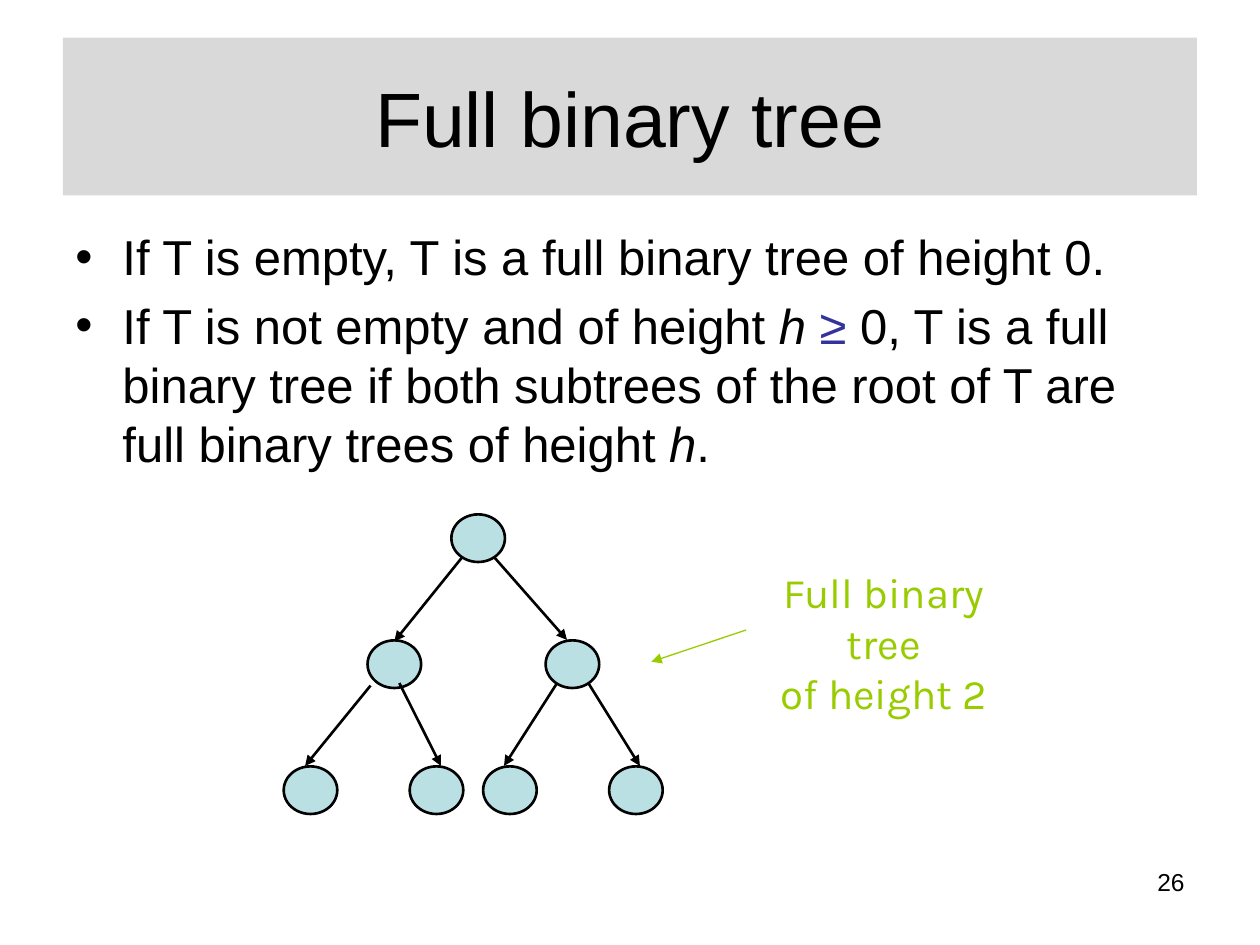
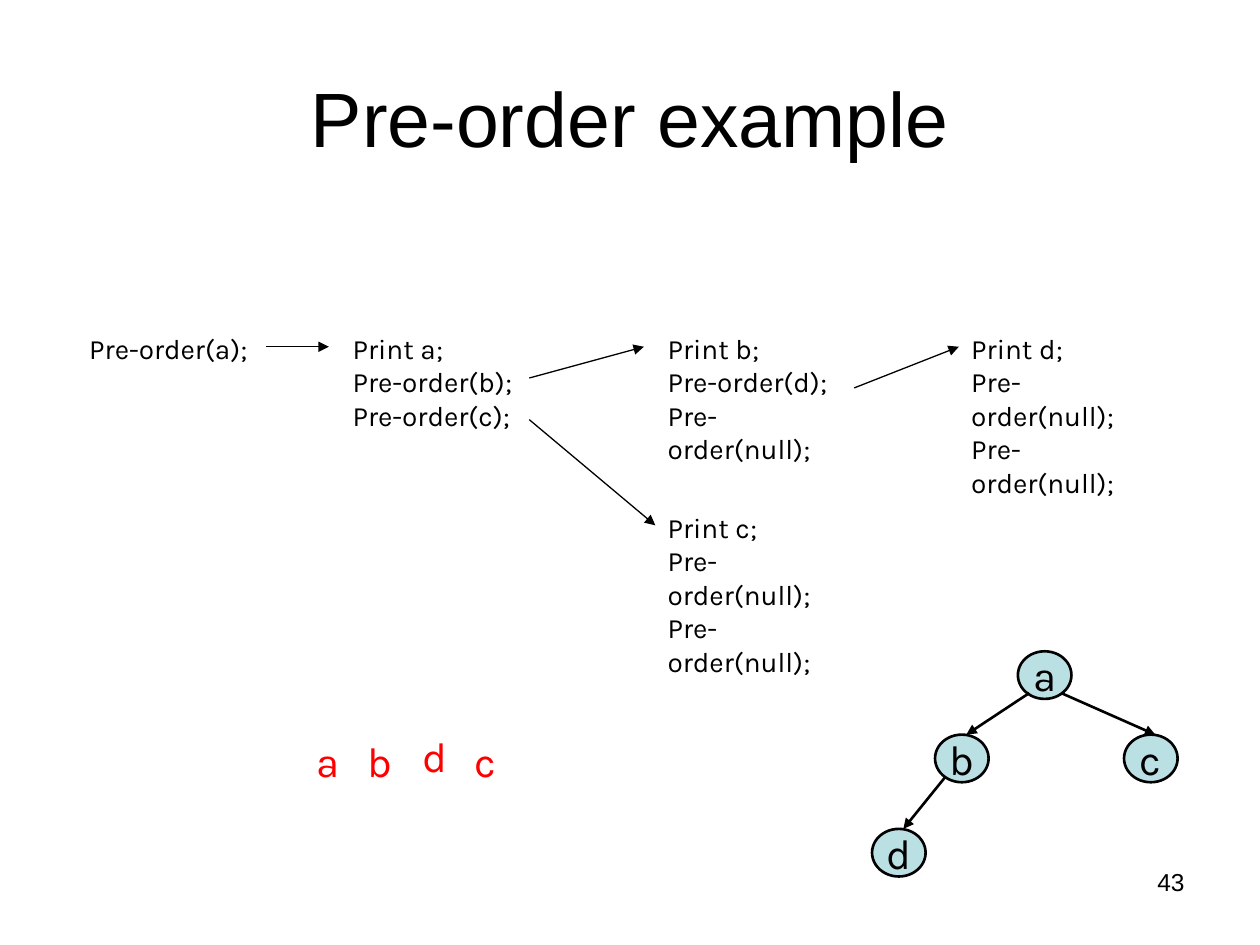
from lxml import etree
from pptx import Presentation
from pptx import util as u
from pptx.dml.color import RGBColor
from pptx.enum import shapes, text
from pptx.oxml.ns import qn

COLORS = {
    "ink": "000000",
    "band": "D9D9D9",
    "node": "BBE0E3",
    "symbol": "333399",
    "callout": "99CC00",
    "output": "FF0000",
}
HEADING_FONT = "Arial"
DIAGRAM_FONT = "Karla"
NODE_WIDTH, NODE_HEIGHT = 1.08, 0.96


def rgb(color):
    return RGBColor.from_string(COLORS[color])


def style_font(font, size, name, color="ink"):
    font.size = u.Pt(size)
    font.name = name
    font.color.rgb = rgb(color)


def add_text(slide, left, top, width, height, lines, size, font=DIAGRAM_FONT,
             color="ink", align=text.PP_ALIGN.LEFT, anchor=text.MSO_ANCHOR.TOP):
    box = slide.shapes.add_textbox(u.Cm(left), u.Cm(top), u.Cm(width), u.Cm(height))
    frame = box.text_frame
    frame.word_wrap = True
    frame.vertical_anchor = anchor
    frame.text = "\n".join(lines)
    for paragraph in frame.paragraphs:
        paragraph.alignment = align
        for run in paragraph.runs:
            style_font(run.font, size, font, color)
    return box


def add_arrow(slide, x1, y1, x2, y2, color="ink", weight=0.75):
    arrow = slide.shapes.add_connector(
        shapes.MSO_CONNECTOR.STRAIGHT, u.Cm(x1), u.Cm(y1), u.Cm(x2), u.Cm(y2))
    arrow.line.color.rgb = rgb(color)
    arrow.line.width = u.Pt(weight)
    etree.SubElement(arrow.line._get_or_add_ln(), qn("a:tailEnd"), type="triangle")
    etree.SubElement(arrow._element.spPr, qn("a:effectLst"))


def add_node(slide, left, top, label=""):
    node = slide.shapes.add_shape(
        shapes.MSO_SHAPE.OVAL, u.Cm(left), u.Cm(top), u.Cm(NODE_WIDTH), u.Cm(NODE_HEIGHT))
    node.shadow.inherit = False
    node.fill.solid()
    node.fill.fore_color.rgb = rgb("node")
    node.line.color.rgb = rgb("ink")
    node.line.width = u.Pt(1.5)
    if label:
        frame = node.text_frame
        frame.word_wrap = False
        frame.vertical_anchor = text.MSO_ANCHOR.MIDDLE
        frame.text = label
        paragraph = frame.paragraphs[0]
        paragraph.alignment = text.PP_ALIGN.CENTER
        style_font(paragraph.runs[0].font, 24, DIAGRAM_FONT)


def add_tree(slide, nodes, edges):
    """Draw nodes as (left, top[, label]) and edges as (x1, y1, x2, y2)."""
    for node in nodes:
        add_node(slide, *node)
    for edge in edges:
        add_arrow(slide, *edge, weight=1.5)


def add_bullets(slide, bullets):
    """Each bullet is a list of (words, color, italic) runs."""
    box = slide.shapes.add_textbox(u.Cm(1.27), u.Cm(4.45), u.Cm(22.86), u.Cm(7.34))
    frame = box.text_frame
    frame.word_wrap = True
    for index, runs in enumerate(bullets):
        paragraph = frame.add_paragraph() if index else frame.paragraphs[0]
        properties = paragraph._p.get_or_add_pPr()
        properties.set("marL", str(u.Cm(0.95)))
        properties.set("indent", str(-u.Cm(0.95)))
        etree.SubElement(properties, qn("a:buFont"), typeface=HEADING_FONT)
        etree.SubElement(properties, qn("a:buChar"), char="•")
        if index:
            paragraph.space_before = u.Pt(5.6)
        for words, color, italic in runs:
            run = paragraph.add_run()
            run.text = words
            style_font(run.font, 28, HEADING_FONT, color)
            run.font.italic = italic


def start_slide(deck, title, number, banded=False):
    slide = deck.slides.add_slide(deck.slide_layouts[6])
    add_text(slide, 18.2, 17.35, 5.93, 1.32, [str(number)], 14, HEADING_FONT,
             align=text.PP_ALIGN.RIGHT)
    heading = add_text(slide, 1.27, 0.76, 22.86, 3.18, [title], 44, HEADING_FONT,
                       align=text.PP_ALIGN.CENTER, anchor=text.MSO_ANCHOR.MIDDLE)
    if banded:
        heading.fill.solid()
        heading.fill.fore_color.rgb = rgb("band")
    return slide


def build_full_tree(deck):
    slide = start_slide(deck, "Full binary tree", 26, banded=True)
    add_bullets(slide, [
        [("If T is empty, T is a full binary tree of height 0.", "ink", False)],
        [("If T is not empty and of height ", "ink", False),
         ("h ", "ink", True),
         ("≥ ", "symbol", False),
         ("0, T is a full binary tree if both subtrees of the root of T are "
          "full binary trees of height ", "ink", False),
         ("h", "ink", True),
         (".", "ink", False)],
    ])
    levels = {10.37: [9.1], 12.91: [7.41, 11], 15.45: [5.72, 8.26, 9.74, 12.28]}
    nodes = [(left, top) for top, lefts in levels.items() for left in lefts]
    add_tree(slide, nodes, [
        (9.32, 11.23, 7.95, 12.93),
        (9.96, 11.23, 11.43, 12.9),
        (7.47, 13.82, 6.15, 15.44),
        (8.05, 13.77, 8.89, 15.44),
        (11.23, 13.77, 10.16, 15.44),
        (11.86, 13.77, 12.9, 15.44),
    ])
    add_text(slide, 14.73, 11.3, 6.17, 2.31, ["Full binary tree", "of height 2"], 24,
             color="callout", align=text.PP_ALIGN.CENTER)
    add_arrow(slide, 15.04, 12.7, 13.13, 13.34, "callout")


def build_preorder(deck):
    slide = start_slide(deck, "Pre-order example", 43)
    add_tree(slide, [
        (20.52, 13.13, "a"),
        (18.85, 14.81, "b"),
        (22.66, 14.81, "c"),
        (17.58, 16.71, "d"),
    ], [
        (20.75, 13.97, 19.48, 14.81),
        (21.39, 13.97, 23.29, 14.81),
        (19.05, 15.67, 18.21, 16.71),
    ])

    add_text(slide, 1.55, 6.55, 3.78, 0.94, ["Pre-order(a);"], 16)
    calls = [
        (6.86, 6.55, 3.78, "a", "b", "c"),
        (13.21, 6.55, 4.37, "b", "d", "null"),
        (13.21, 10.16, 4.37, "c", "null", "null"),
        (19.33, 6.55, 4.37, "d", "null", "null"),
    ]
    for left, top, width, visited, *children in calls:
        lines = [f"Print {visited};"] + [f"Pre-order({child});" for child in children]
        add_text(slide, left, top, width, 2.29, lines, 16)
    for call_arrow in [
        (5.36, 6.99, 6.63, 6.99),
        (10.67, 7.62, 12.98, 6.99),
        (10.67, 8.46, 13.21, 10.59),
        (17.22, 7.82, 19.33, 6.99),
    ]:
        add_arrow(slide, *call_arrow)

    printed = [("a", 6.12, 14.71, 0.97), ("b", 7.16, 14.71, 0.99),
               ("d", 8.26, 14.6, 0.99), ("c", 9.32, 14.71, 0.91)]
    for letter, left, top, width in printed:
        add_text(slide, left, top, width, 1.27, [letter], 24, color="output",
                 align=text.PP_ALIGN.CENTER)


def main():
    deck = Presentation()
    deck.slide_width, deck.slide_height = u.Cm(25.4), u.Cm(19.05)
    build_full_tree(deck)
    build_preorder(deck)
    deck.save("out.pptx")


if __name__ == "__main__":
    main()
